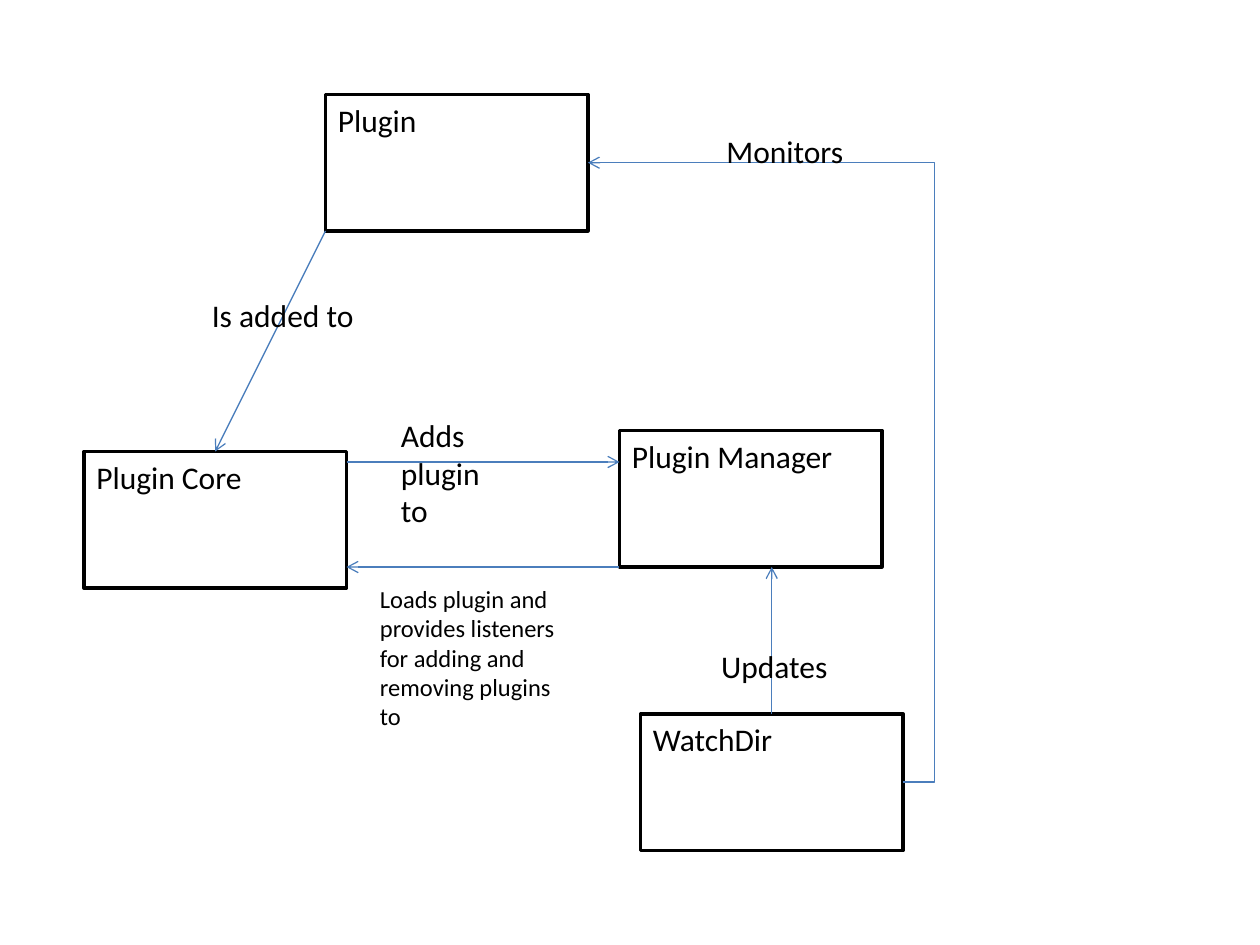
"""Build the plugin architecture diagram slide."""
from lxml import etree
from pptx import Presentation
from pptx.dml.color import RGBColor
from pptx.enum.shapes import MSO_CONNECTOR, MSO_SHAPE
from pptx.enum.text import MSO_AUTO_SIZE
from pptx.oxml.ns import qn
from pptx.util import Pt

RECTANGLE = MSO_SHAPE.RECTANGLE
STRAIGHT, ELBOW = MSO_CONNECTOR.STRAIGHT, MSO_CONNECTOR.ELBOW
FIT_SHAPE = MSO_AUTO_SIZE.SHAPE_TO_FIT_TEXT
BOX_WIDTH, BOX_HEIGHT = 150, 78


def color(value):
    return RGBColor.from_string(value)


deck = Presentation()
deck.slide_width, deck.slide_height = Pt(720), Pt(540)
page = deck.slides.add_slide(deck.slide_layouts[6])

components = [
    ("Plugin Manager", 354, 246),
    ("Plugin", 186, 54),
    ("Plugin Core", 48, 258),
    ("WatchDir", 366, 408),
]
for name, left, top in components:
    box = page.shapes.add_shape(RECTANGLE, Pt(left), Pt(top), Pt(BOX_WIDTH), Pt(BOX_HEIGHT))
    box.shadow.inherit = False
    box.fill.solid()
    box.fill.fore_color.rgb = color("FFFFFF")
    box.line.color.rgb = color("000000")
    box.line.width = Pt(2)

arrows = [
    (STRAIGHT, 186, 132, 123, 258),
    (STRAIGHT, 198, 264, 354, 264),
    (ELBOW, 516, 447, 336, 93),
    (STRAIGHT, 441, 408, 441, 324),
    (STRAIGHT, 354, 324, 198, 324),
]
for kind, x1, y1, x2, y2 in arrows:
    arrow = page.shapes.add_connector(kind, Pt(x1), Pt(y1), Pt(x2), Pt(y2))
    arrow.line.color.rgb = color("4B7EBC")
    arrow.line.width = Pt(0.75)
    properties = arrow.element.spPr
    etree.SubElement(properties.find(qn("a:ln")), qn("a:tailEnd"), type="arrow")
    etree.SubElement(properties, qn("a:effectLst"))
    if kind == ELBOW:
        guides = properties.find(qn("a:prstGeom")).get_or_add_avLst()
        etree.SubElement(guides, qn("a:gd"), name="adj1", fmla="val -10000")

labels = [(name, left, top, BOX_WIDTH, 29, 18) for name, left, top in components] + [
    ("Is added to", 114, 165.6, 127.5, 29, 18),
    ("Adds plugin to", 222, 234, 78, 72.7, 18),
    ("Monitors", 408, 72, 156, 29, 18),
    ("Loads plugin and provides listeners for adding and removing plugins to",
     210, 330, 126, 92, 14),
    ("Updates", 405, 366, 99, 29, 18),
]
for text, left, top, width, height, size in labels:
    label = page.shapes.add_textbox(Pt(left), Pt(top), Pt(width), Pt(height))
    frame = label.text_frame
    frame.word_wrap = True
    frame.auto_size = FIT_SHAPE
    para = frame.paragraphs[0]
    para.text = text
    para.font.name = "Calibri"
    para.font.size = Pt(size)
    para.font.color.rgb = color("000000")

deck.save("out.pptx")
